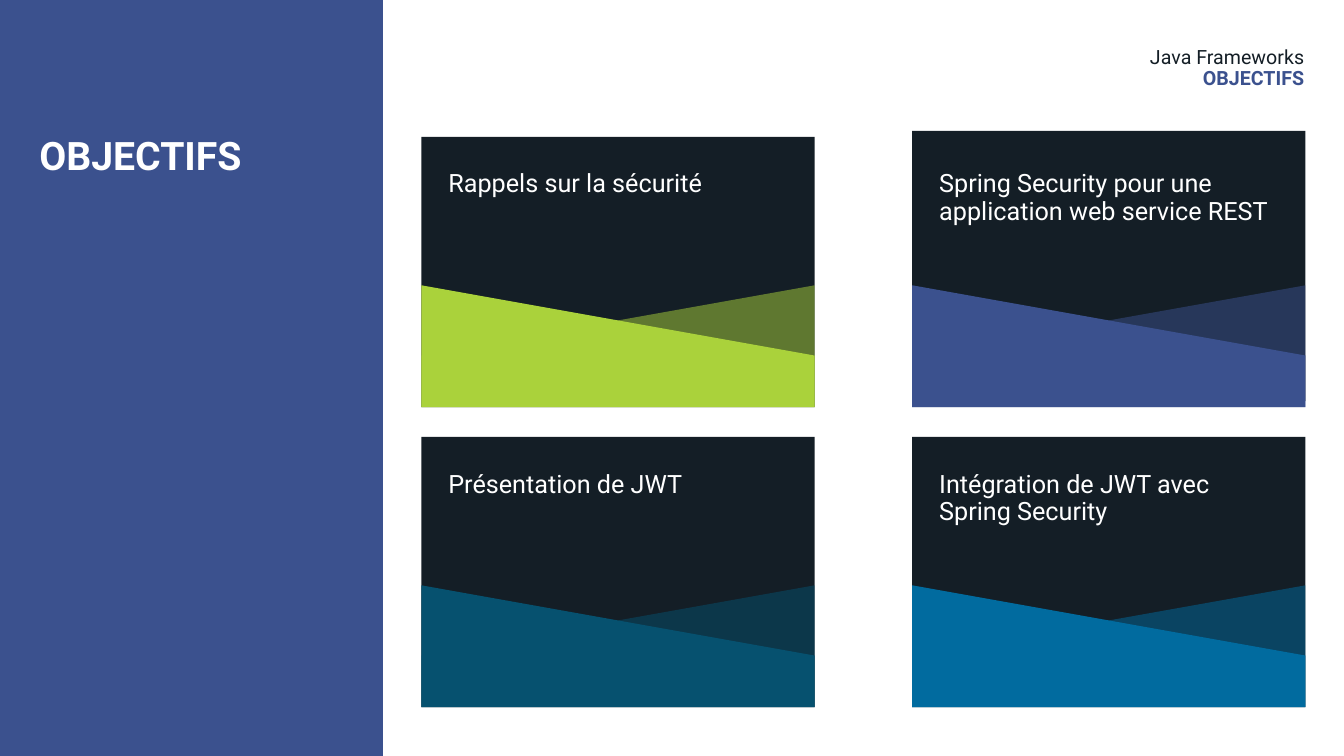
from dataclasses import dataclass
from typing import Any

from lxml.etree import SubElement
from pptx import Presentation
from pptx.dml.color import RGBColor
from pptx.enum.shapes import MSO_SHAPE
from pptx.enum.text import MSO_ANCHOR, MSO_AUTO_SIZE, PP_ALIGN
from pptx.oxml.ns import qn
from pptx.util import Cm, Pt

WHITE = RGBColor(0xFF, 0xFF, 0xFF)
NIGHT = RGBColor(0x14, 0x1E, 0x26)
INDIGO = RGBColor(0x3B, 0x51, 0x8E)
LIME = RGBColor(0xAA, 0xD2, 0x3B)
TEAL = RGBColor(0x06, 0x51, 0x6F)
AZURE = RGBColor(0x01, 0x6B, 0x9F)

PAGE_WIDTH, PAGE_HEIGHT = 33.87, 19.05
PANEL_WIDTH = 9.65
GRID_LEFT, GRID_TOP = 10.62, 3.45
COLUMN_STEP, ROW_STEP = 12.37, 7.56
CARD_WIDTH, CARD_HEIGHT = 9.91, 6.81
BAND_OFFSET, BAND_HEIGHT, BAND_DROP = 3.74, 3.07, 1.77
LABEL_LEFT, LABEL_TOP, LABEL_WIDTH = 0.43, 0.74, 8.9

NO_MARGINS = {f"margin_{side}": 0 for side in ("left", "top", "right", "bottom")}


@dataclass(frozen=True)
class Card:
    column: int
    row: int
    text: str
    color: RGBColor
    label_height: float
    rise: float = 0


CARDS = [
    Card(0, 0, "Rappels sur la sécurité", LIME, 0.94),
    Card(1, 0, "Spring Security pour une application web service REST", INDIGO, 1.65, 0.15),
    Card(0, 1, "Présentation de JWT", TEAL, 0.94),
    Card(1, 1, "Intégration de JWT avec Spring Security", AZURE, 1.65),
]


def apply_format(target: Any, values: dict[str, Any]) -> None:
    for name, value in values.items():
        setattr(target, name, value)


def paint(shape: Any, color: RGBColor) -> None:
    shape.shadow.inherit = False
    shape.fill.solid()
    shape.fill.fore_color.rgb = color
    shape.line.fill.background()


def add_rectangle(page: Any, left: float, top: float, width: float, height: float,
                  color: RGBColor) -> None:
    box = page.shapes.add_shape(MSO_SHAPE.RECTANGLE, Cm(left), Cm(top), Cm(width), Cm(height))
    paint(box, color)


def write_line(para: Any, text: str, size: int, color: RGBColor, bold: bool = False,
               alignment: PP_ALIGN = PP_ALIGN.LEFT) -> None:
    apply_format(para, {"line_spacing": 0.9, "alignment": alignment})
    span = para.add_run()
    span.text = text
    apply_format(span.font, {"name": "Roboto", "size": Pt(size), "bold": bold})
    span.font.color.rgb = color


def add_band(page: Any, high_side: float, low_side: float, top: float, color: RGBColor,
             opacity: int = 100) -> None:
    builder = page.shapes.build_freeform(Cm(low_side), Cm(top + BAND_DROP))
    bottom = top + BAND_HEIGHT
    corners = [(high_side, top), (high_side, bottom), (low_side, bottom)]
    builder.add_line_segments([(Cm(x), Cm(y)) for x, y in corners], close=True)
    band = builder.convert_to_shape()
    paint(band, color)
    if opacity < 100:
        fill_color = band.element.spPr.find(qn("a:solidFill"))[0]
        SubElement(fill_color, qn("a:alpha")).set("val", str(opacity * 1000))


def add_card(page: Any, card: Card) -> None:
    left = GRID_LEFT + card.column * COLUMN_STEP
    right = left + CARD_WIDTH
    top = GRID_TOP + card.row * ROW_STEP
    add_rectangle(page, left, top - card.rise, CARD_WIDTH, CARD_HEIGHT, NIGHT)
    add_band(page, right, left, top + BAND_OFFSET, card.color, opacity=50)
    add_band(page, left, right, top + BAND_OFFSET, card.color)
    label = page.shapes.add_textbox(Cm(left + LABEL_LEFT), Cm(top + LABEL_TOP),
                                    Cm(LABEL_WIDTH), Cm(card.label_height))
    apply_format(label.text_frame,
                 {"word_wrap": True, "auto_size": MSO_AUTO_SIZE.SHAPE_TO_FIT_TEXT})
    write_line(label.text_frame.paragraphs[0], card.text, 18, WHITE)


def add_header(page: Any) -> None:
    header = page.shapes.add_textbox(Cm(GRID_LEFT), Cm(1.19), Cm(22.25), Cm(1.5))
    frame = header.text_frame
    apply_format(frame, NO_MARGINS | {"word_wrap": True})
    write_line(frame.paragraphs[0], "Java Frameworks", 14, NIGHT, alignment=PP_ALIGN.RIGHT)
    write_line(frame.add_paragraph(), "OBJECTIFS", 14, INDIGO, True, PP_ALIGN.RIGHT)


def place_title(page: Any) -> None:
    title = page.shapes.title
    apply_format(title, {"left": Cm(0.99), "top": Cm(GRID_TOP),
                         "width": Cm(7.92), "height": Cm(12.29)})
    apply_format(title.text_frame, NO_MARGINS | {
        "word_wrap": True,
        "auto_size": MSO_AUTO_SIZE.NONE,
        "vertical_anchor": MSO_ANCHOR.TOP,
    })
    write_line(title.text_frame.paragraphs[0], "OBJECTIFS", 28, WHITE, True)
    page.shapes.element.append(title.element)


def main() -> None:
    deck = Presentation()
    apply_format(deck, {"slide_width": Cm(PAGE_WIDTH), "slide_height": Cm(PAGE_HEIGHT)})
    page = deck.slides.add_slide(deck.slide_layouts[5])
    add_rectangle(page, 0, 0, PANEL_WIDTH, PAGE_HEIGHT, INDIGO)
    place_title(page)
    add_header(page)
    for card in CARDS:
        add_card(page, card)
    deck.save("out.pptx")


if __name__ == "__main__":
    main()
